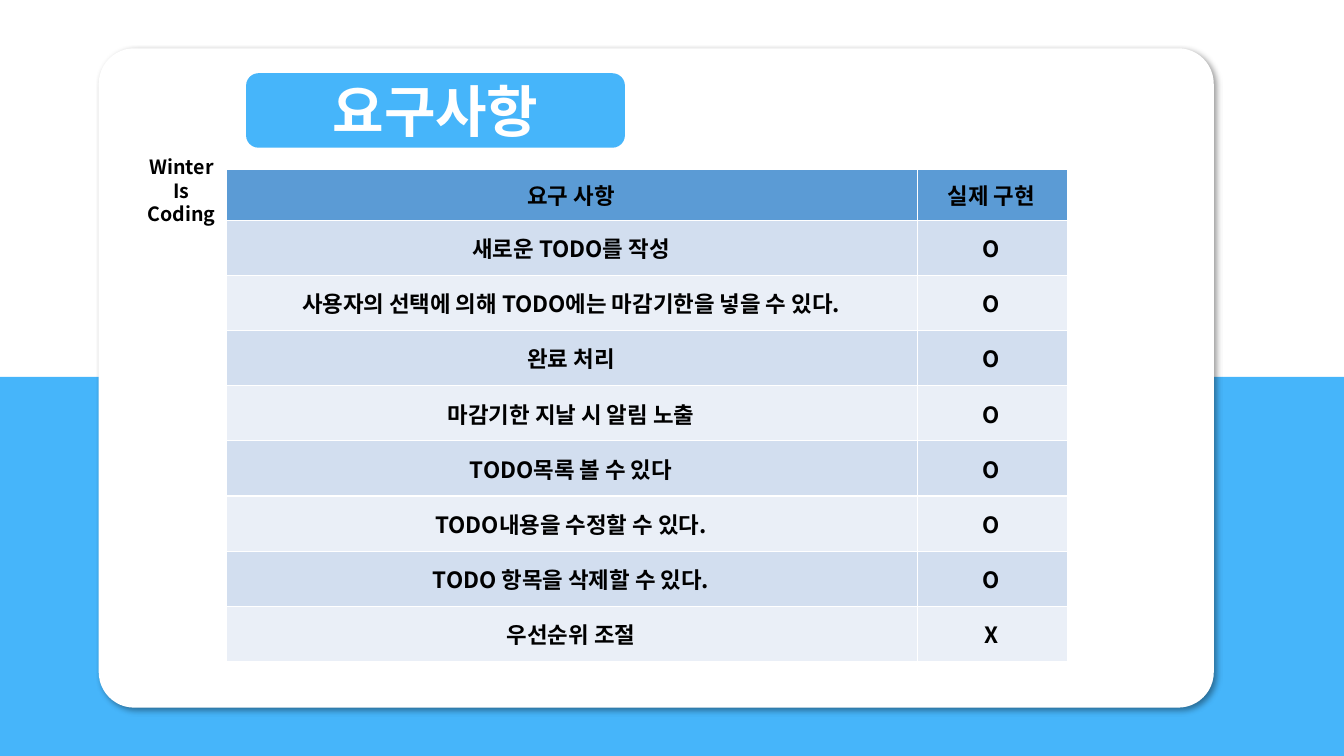
from lxml import etree
from pptx import Presentation
from pptx import util as u
from pptx.dml.color import RGBColor
from pptx.enum import shapes, text
from pptx.oxml import parse_xml
from pptx.oxml.ns import nsdecls, qn

Pt = u.Pt
FONT = "Noto Sans CJK KR"
COLORS = {
    "sky": "46B5FA",
    "white": "FFFFFF",
    "black": "000000",
    "header": "5B9BD5",
    "band_dark": "D2DEEF",
    "band_light": "EAEFF7",
}


def add_panel(kind, left, top, width, height, color):
    panel = slide.shapes.add_shape(kind, Pt(left), Pt(top), Pt(width), Pt(height))
    panel.shadow.inherit = False
    panel.fill.solid()
    panel.fill.fore_color.rgb = RGBColor.from_string(COLORS[color])
    panel.line.fill.background()
    return panel


def style_text(paragraph, size, color):
    paragraph.alignment = text.PP_ALIGN.CENTER
    font = paragraph.font
    font.name, font.size, font.bold = FONT, Pt(size), True
    font.color.rgb = RGBColor.from_string(COLORS[color])
    # Korean glyphs take the East Asian typeface
    latin = paragraph._p.find(".//" + qn("a:latin"))
    east_asian = etree.Element(qn("a:ea"), typeface=FONT)
    latin.addnext(east_asian)


prs = Presentation()
prs.slide_width, prs.slide_height = Pt(960), Pt(540)
slide = prs.slides.add_slide(prs.slide_layouts[5])

# Background band and white card
add_panel(shapes.MSO_SHAPE.RECTANGLE, 0, 269.3, 960, 270.7, "sky")
card = add_panel(shapes.MSO_SHAPE.ROUNDED_RECTANGLE, 70.5, 34.5, 796.5, 471, "white")
card.adjustments[0] = 0.054
card_effects = card._element.spPr.find(qn("a:effectLst"))
card_effects.append(parse_xml(
    f'<a:outerShdw {nsdecls("a")} blurRad="{Pt(4)}" dist="{Pt(3)}" dir="2700000" '
    'algn="tl" rotWithShape="0"><a:srgbClr val="000000"><a:alpha val="40000"/>'
    '</a:srgbClr></a:outerShdw>'))

# Title on its blue plate
title_box = (175.8, 52.3, 270.6, 53.2)
add_panel(shapes.MSO_SHAPE.ROUNDED_RECTANGLE, *title_box, "sky")
title = slide.shapes.title
title.left, title.top, title.width, title.height = map(Pt, title_box)
title.text_frame.text = "요구사항"
title.text_frame.vertical_anchor = text.MSO_ANCHOR.MIDDLE
title.text_frame.auto_size = text.MSO_AUTO_SIZE.NONE
style_text(title.text_frame.paragraphs[0], 40, "white")
slide.shapes._spTree.append(title._element)  # bring in front of the plate

# Requirements table
requirements = [
    ("요구 사항", "실제 구현"),
    ("새로운 TODO를 작성", "O"),
    ("사용자의 선택에 의해 TODO에는 마감기한을 넣을 수 있다.", "O"),
    ("완료 처리", "O"),
    ("마감기한 지날 시 알림 노출", "O"),
    ("TODO목록 볼 수 있다", "O"),
    ("TODO내용을 수정할 수 있다.", "O"),
    ("TODO 항목을 삭제할 수 있다.", "O"),
    ("우선순위 조절", "X"),
]
HEADER_HEIGHT, ROW_HEIGHT = 36.4, 39.4
column_widths = (493.2, 107.2)
table_height = HEADER_HEIGHT + ROW_HEIGHT * (len(requirements) - 1)
table = slide.shapes.add_table(
    len(requirements), len(column_widths),
    Pt(162), Pt(121), Pt(sum(column_widths)), Pt(table_height)).table
for column, width in zip(table.columns, column_widths):
    column.width = Pt(width)

for r, entries in enumerate(requirements):
    table.rows[r].height = Pt(ROW_HEIGHT if r else HEADER_HEIGHT)
    if r == 0:
        fill = "header"
    else:
        fill = "band_dark" if r % 2 else "band_light"
    for c, entry in enumerate(entries):
        cell = table.cell(r, c)
        cell.text = entry
        cell.vertical_anchor = text.MSO_ANCHOR.MIDDLE
        cell.margin_left, cell.margin_right = Pt(5.8), Pt(7.2)
        cell.fill.solid()
        cell.fill.fore_color.rgb = RGBColor.from_string(COLORS[fill])
        style_text(cell.text_frame.paragraphs[0], 16, "black")

# Team name
team = slide.shapes.add_textbox(Pt(94.3), Pt(107.3), Pt(70.6), Pt(58.3)).text_frame
team.word_wrap = True
team.text = "Winter\nIs\nCoding"
for paragraph in team.paragraphs:
    style_text(paragraph, 14, "black")

prs.save("out.pptx")
